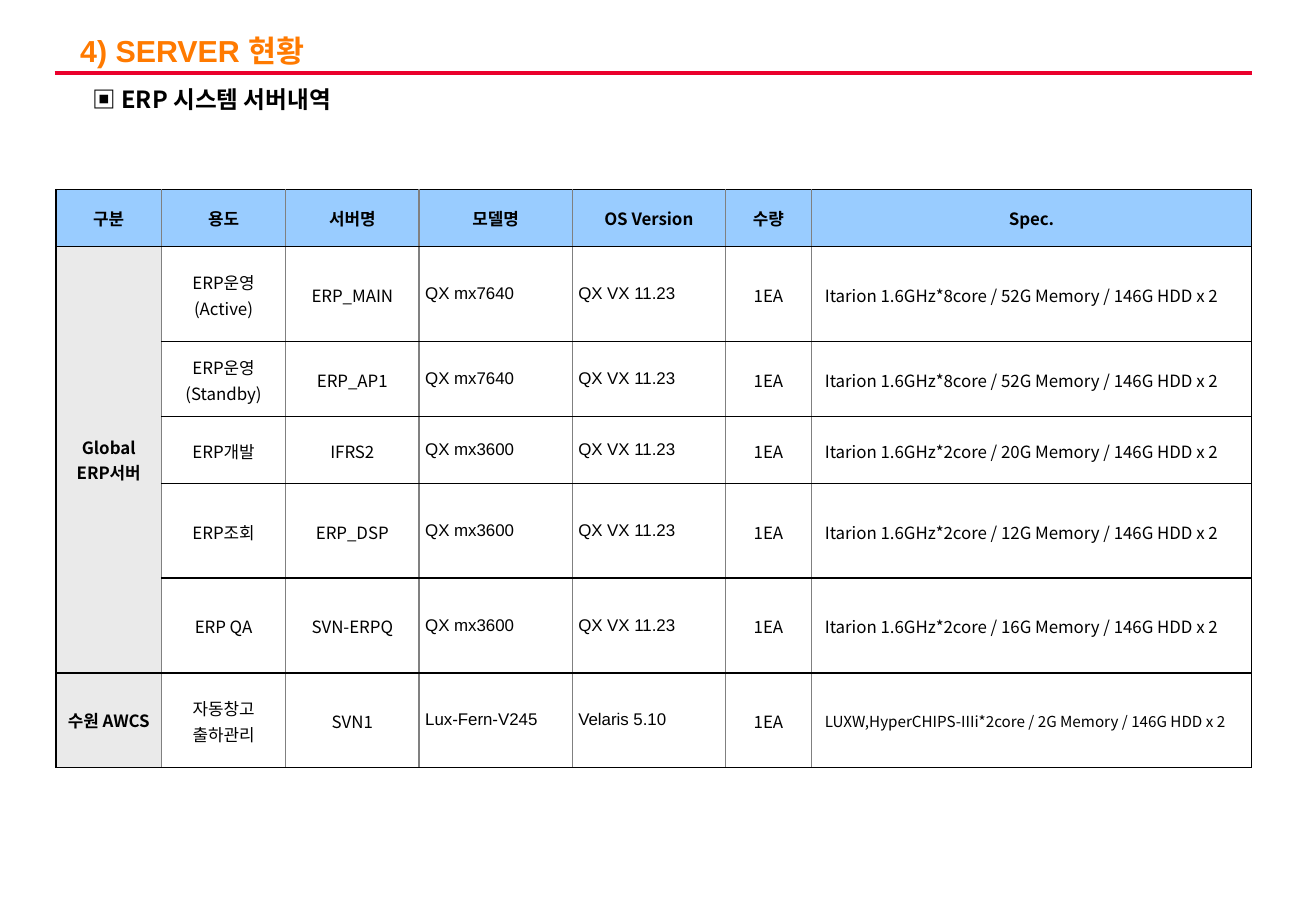
from lxml.etree import SubElement
from pptx import Presentation
from pptx.dml.color import RGBColor
from pptx.enum.shapes import MSO_CONNECTOR as Connector
from pptx.enum.text import MSO_ANCHOR as Anchor, MSO_AUTO_SIZE as AutoSize, PP_ALIGN as Align
from pptx.oxml.ns import qn
from pptx.util import Inches, Pt

# Content
TITLE = "4) SERVER 현황"
SUBTITLE = "▣ ERP 시스템 서버내역"
HEADERS = ["구분", "용도", "서버명", "모델명", "OS Version", "수량", "Spec."]
SERVERS = [
    ("Global\nERP서버", "ERP운영\n(Active)", "ERP_MAIN", "QX mx7640", "QX VX 11.23", "1EA",
     "Itarion 1.6GHz*8core / 52G Memory / 146G HDD x 2"),
    ("", "ERP운영\n(Standby)", "ERP_AP1", "QX mx7640", "QX VX 11.23", "1EA",
     "Itarion 1.6GHz*8core / 52G Memory / 146G HDD x 2"),
    ("", "ERP개발", "IFRS2", "QX mx3600", "QX VX 11.23", "1EA",
     "Itarion 1.6GHz*2core / 20G Memory / 146G HDD x 2"),
    ("", "ERP조회", "ERP_DSP", "QX mx3600", "QX VX 11.23", "1EA",
     "Itarion 1.6GHz*2core / 12G Memory / 146G HDD x 2"),
    ("", "ERP QA", "SVN-ERPQ", "QX mx3600", "QX VX 11.23", "1EA",
     "Itarion 1.6GHz*2core / 16G Memory / 146G HDD x 2"),
    ("수원 AWCS", "자동창고\n출하관리", "SVN1", "Lux-Fern-V245", "Velaris 5.10", "1EA",
     "LUXW,HyperCHIPS-IIIi*2core / 2G Memory / 146G HDD x 2"),
]
COLUMN_WIDTHS = [0.87, 1.02, 1.1, 1.26, 1.26, 0.71, 3.62]
ROW_HEIGHTS = [0.47, 0.78, 0.62, 0.55, 0.78, 0.78, 0.78]
GROUP, MODEL, OS, SPEC = 0, 3, 4, 6
STANDBY_ROW, LAST_GLOBAL_ROW, WAREHOUSE_ROW = 2, 5, 6
KOREAN, LATIN = "Noto Sans CJK KR", "Arial"
BLACK, GRAY = "000000", "808080"


def color(hex_code):
    return RGBColor.from_string(hex_code)


def style_text(frame, font_name, size, hex_code, bold, align, spacing):
    for paragraph in frame.paragraphs:
        paragraph.alignment = align
        paragraph.line_spacing = spacing
        paragraph.space_before = Pt(0)
        for run in paragraph.runs:
            run.font.name = font_name
            run.font.size = Pt(size)
            run.font.bold = bold
            run.font.color.rgb = color(hex_code)
            SubElement(run.font._element, qn("a:ea"), typeface=font_name)


def set_margins(target, left, top, right, bottom):
    target.margin_left, target.margin_top = Inches(left), Inches(top)
    target.margin_right, target.margin_bottom = Inches(right), Inches(bottom)


def set_borders(cell, row, col):
    above = 0.5 if row == STANDBY_ROW + 1 and col != GROUP else 1
    below = 0.5 if row == STANDBY_ROW and col != GROUP else 1
    sides = {
        "L": (BLACK if col == GROUP else GRAY, 1),
        "R": (BLACK if col == SPEC else GRAY, 1),
        "T": (BLACK, above),
        "B": (BLACK, below),
    }
    properties = cell._tc.get_or_add_tcPr()
    for side, (hex_code, width) in sides.items():
        line = SubElement(properties, qn(f"a:ln{side}"), w=str(Pt(width)))
        SubElement(SubElement(line, qn("a:solidFill")), qn("a:srgbClr"), val=hex_code)


prs = Presentation()
prs.slide_width, prs.slide_height = Inches(10.83), Inches(7.5)
slide = prs.slides.add_slide(prs.slide_layouts[5])

# Title and the rule under it
title = slide.shapes.title
title.left, title.top, title.width, title.height = map(Inches, (0.56, 0.25, 9.86, 0.37))
title.text_frame.text = TITLE
title.text_frame.auto_size = AutoSize.NONE
title.text_frame.vertical_anchor = Anchor.MIDDLE
set_margins(title.text_frame, 0.1, 0.05, 0.1, 0.05)
style_text(title.text_frame, LATIN, 18, "FF7A00", True, Align.LEFT, 0.9)

rule = slide.shapes.add_connector(
    Connector.STRAIGHT, Inches(0.45), Inches(0.6), Inches(10.3), Inches(0.6))
rule.line.color.rgb = color("EA002C")
rule.line.width = Pt(2.25)
SubElement(rule._element.spPr, qn("a:effectLst"))

# Subtitle
subtitle = slide.shapes.add_textbox(*map(Inches, (0.68, 0.62, 9.84, 0.39))).text_frame
subtitle.text = SUBTITLE
subtitle.word_wrap = True
subtitle.vertical_anchor = Anchor.MIDDLE
set_margins(subtitle, 0.08, 0, 0.08, 0)
style_text(subtitle, KOREAN, 14, BLACK, True, Align.LEFT, 1.0)

# Server table
rows = [HEADERS, *SERVERS]
table = slide.shapes.add_table(
    len(rows), len(HEADERS), Inches(0.46), Inches(1.56),
    Inches(sum(COLUMN_WIDTHS)), Inches(sum(ROW_HEIGHTS))).table
table.first_row = table.horz_banding = False
for column, width in zip(table.columns, COLUMN_WIDTHS):
    column.width = Inches(width)
for table_row, height in zip(table.rows, ROW_HEIGHTS):
    table_row.height = Inches(height)

for row, values in enumerate(rows):
    for col, value in enumerate(values):
        cell = table.cell(row, col)
        is_header = row == 0
        is_label = is_header or col == GROUP
        is_latin = not is_header and col in (MODEL, OS)
        is_spec = not is_header and col == SPEC

        cell.text_frame.text = value
        cell.vertical_anchor = Anchor.MIDDLE
        set_margins(cell, 0.11 if is_spec else 0.05, 0.02, 0.05, 0.02)
        style_text(
            cell.text_frame,
            LATIN if is_latin else KOREAN,
            9 if is_spec and row == WAREHOUSE_ROW else 10,
            BLACK,
            is_label,
            Align.LEFT if is_latin or is_spec else Align.CENTER,
            1.0 if is_label or is_latin else 1.1)

        set_borders(cell, row, col)
        if is_label:
            cell.fill.solid()
            cell.fill.fore_color.rgb = color("99CCFF" if is_header else "EAEAEA")
        else:
            cell.fill.background()

table.cell(1, GROUP).merge(table.cell(LAST_GLOBAL_ROW, GROUP))

prs.save("out.pptx")
